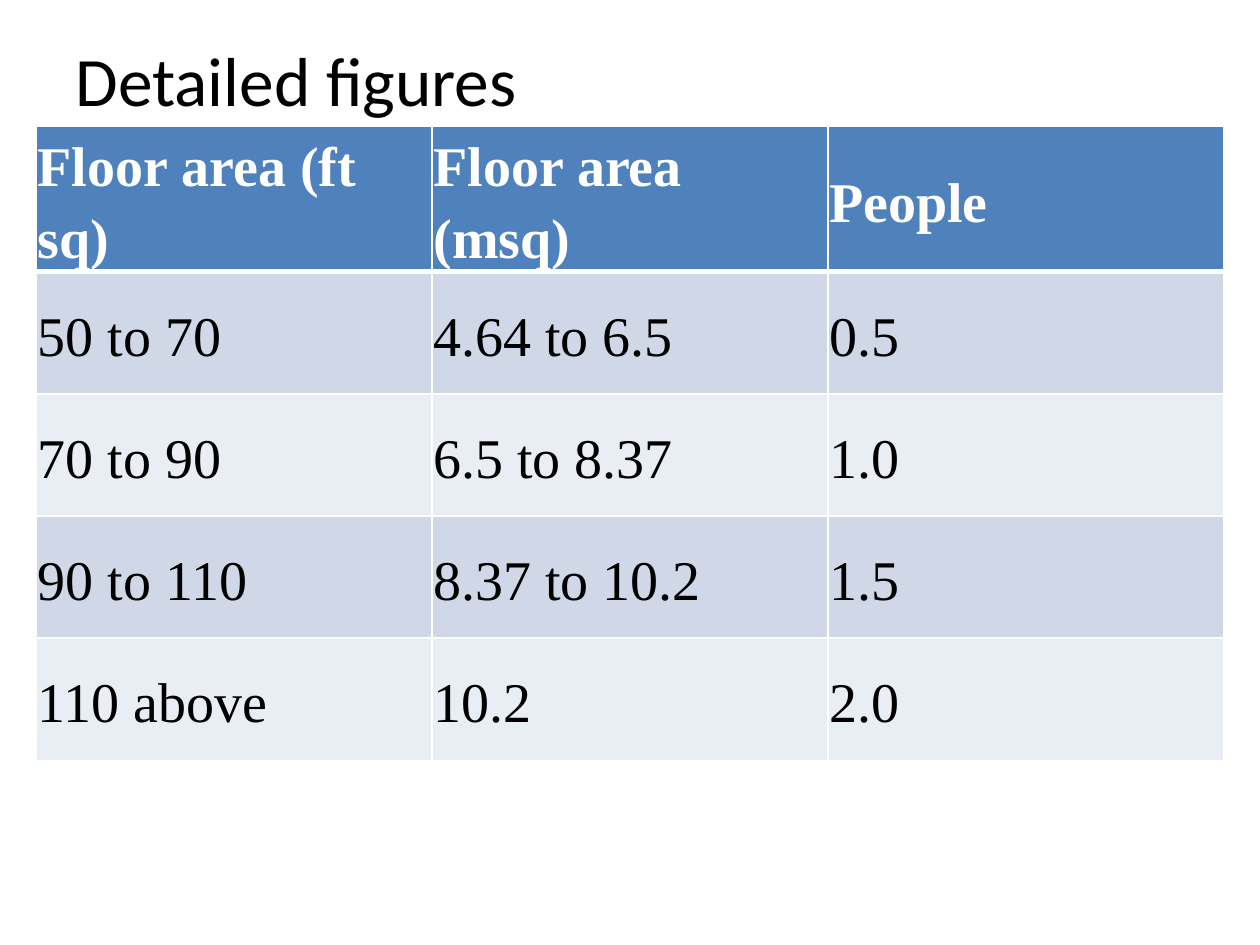
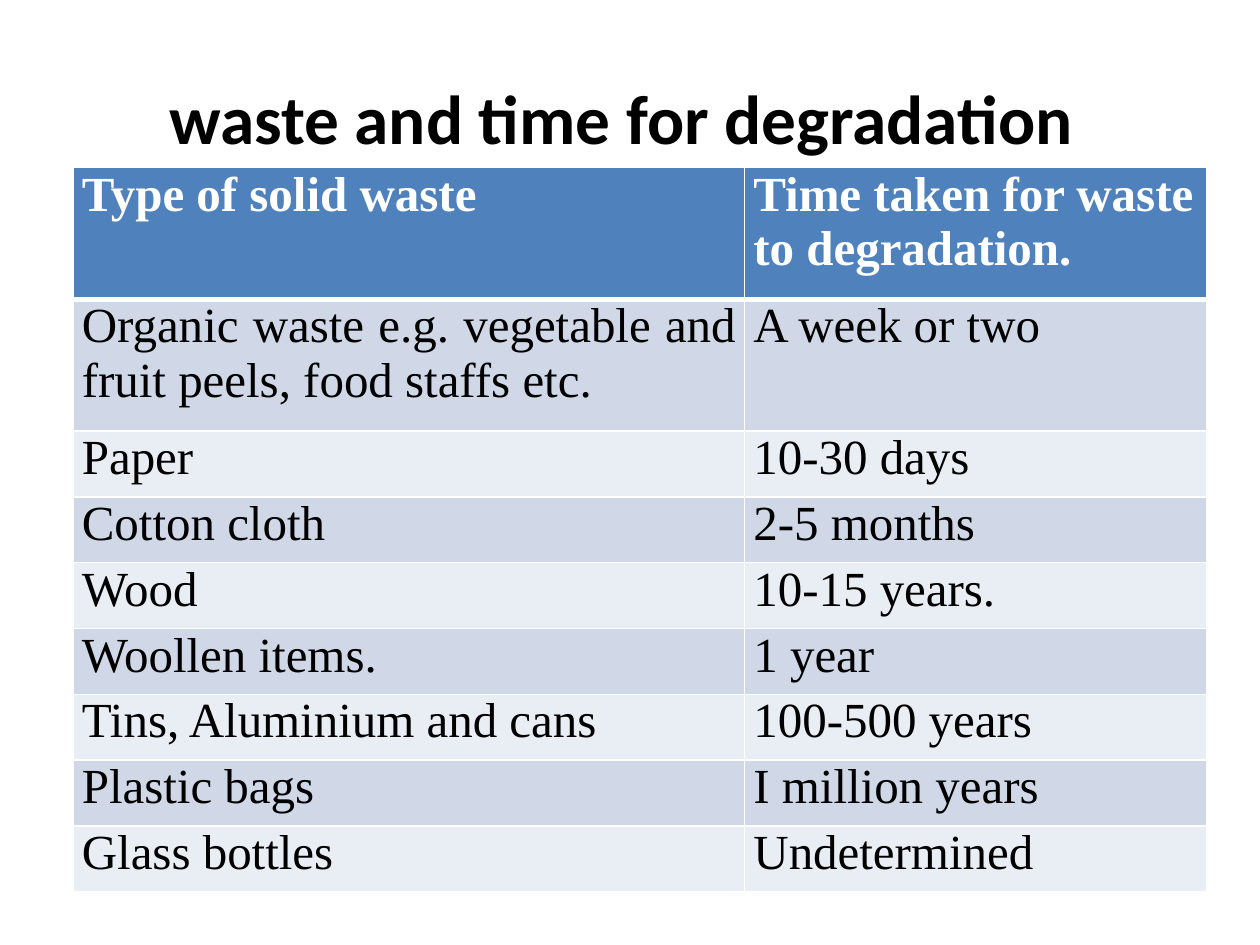
from dataclasses import dataclass

from lxml.etree import SubElement
from pptx import Presentation
from pptx.dml.color import RGBColor
from pptx.enum.text import MSO_ANCHOR, MSO_AUTO_SIZE, PP_ALIGN
from pptx.oxml.ns import qn
from pptx.util import Inches, Pt

# The slide is a grid of 100 columns and 75 rows
COLUMNS, ROWS = 100, 75
SLIDE_WIDTH, SLIDE_HEIGHT = Inches(10), Inches(7.5)


@dataclass(frozen=True)
class Theme:
    title_font: str = "Calibri"
    table_font: str = "Times New Roman"
    title_size: float = 39.6
    text: str = "000000"
    header_text: str = "FFFFFF"
    header_fill: str = "4F81BD"
    bands: tuple = ("D0D8E8", "E9EDF4")
    rule: str = "FFFFFF"
    thin: float = 1
    thick: float = 3


THEME = Theme()


@dataclass(frozen=True)
class Box:
    """Place and size in grid columns and rows."""
    left: float
    top: float
    width: float
    height: float

    def lengths(self):
        column, row = SLIDE_WIDTH / COLUMNS, SLIDE_HEIGHT / ROWS
        return (round(self.left * column), round(self.top * row),
                round(self.width * column), round(self.height * row))


@dataclass(frozen=True)
class TableStyle:
    size: float
    side_margin: float
    end_margin: float
    anchor: MSO_ANCHOR
    align: PP_ALIGN
    line_spacing: float = 1.0
    space_after: float = 0


ROOMY = TableStyle(32, 0.01, 0.01, MSO_ANCHOR.MIDDLE, PP_ALIGN.LEFT, 1.15, 10)
COMPACT = TableStyle(28, 0.07, 0, MSO_ANCHOR.TOP, PP_ALIGN.JUSTIFY)


def format_font(font, name, size, color, bold):
    font.name, font.size, font.bold = name, Pt(size), bold
    font.color.rgb = RGBColor.from_string(color)


def place_title(page, box, text, align, bold=False, right_margin=0.1):
    title = page.shapes.title
    title.left, title.top, title.width, title.height = box.lengths()
    frame = title.text_frame
    frame.text = text
    frame.auto_size = MSO_AUTO_SIZE.NONE
    frame.vertical_anchor = MSO_ANCHOR.MIDDLE
    frame.margin_right = Inches(right_margin)
    para = frame.paragraphs[0]
    para.alignment = align
    format_font(para.runs[0].font, THEME.title_font, THEME.title_size, THEME.text, bold)


def rule_cell(cell, row):
    """Thin white rules, with a thick one between header and body."""
    widths = {"lnL": THEME.thin, "lnR": THEME.thin,
              "lnT": THEME.thick if row == 1 else THEME.thin,
              "lnB": THEME.thick if row == 0 else THEME.thin}
    properties = cell._tc.get_or_add_tcPr()
    for side, width in widths.items():
        line = SubElement(properties, qn(f"a:{side}"), w=str(Pt(width)))
        fill = SubElement(line, qn("a:solidFill"))
        SubElement(fill, qn("a:srgbClr"), val=THEME.rule)


def fill_cell(cell, text, row, style, align):
    header = row == 0
    rule_cell(cell, row)
    cell.fill.solid()
    color = THEME.header_fill if header else THEME.bands[(row - 1) % 2]
    cell.fill.fore_color.rgb = RGBColor.from_string(color)
    cell.margin_left = cell.margin_right = Inches(style.side_margin)
    cell.margin_top = cell.margin_bottom = Inches(style.end_margin)
    cell.vertical_anchor = style.anchor
    cell.text_frame.text = text
    para = cell.text_frame.paragraphs[0]
    para.alignment = align
    para.line_spacing = style.line_spacing
    para.space_after = Pt(style.space_after)
    format_font(para.runs[0].font, THEME.table_font, style.size,
                THEME.header_text if header else THEME.text, header)


def place_table(page, box, records, column_shares, row_shares, style):
    left, top, width, height = box.lengths()
    table = page.shapes.add_table(len(records), len(records[0]),
                                  left, top, width, height).table
    for column, share in zip(table.columns, column_shares):
        column.width = round(width * share / sum(column_shares))
    for row, share in zip(table.rows, row_shares):
        row.height = round(height * share / sum(row_shares))
    for row, record in enumerate(records):
        for column, text in enumerate(record):
            # A wrapped heading in a later column is not justified
            align = PP_ALIGN.LEFT if row == 0 and column else style.align
            fill_cell(table.cell(row, column), text, row, style, align)


def add_page(deck):
    return deck.slides.add_slide(deck.slide_layouts.get_by_name("Title Only"))


def add_floor_area_page(deck):
    page = add_page(deck)
    place_title(page, Box(5, 2.5, 90, 7.5), "Detailed figures", PP_ALIGN.LEFT)
    records = [
        ("Floor area (ft sq)", "Floor area (msq)", "People"),
        ("50 to 70", "4.64 to 6.5", "0.5"),
        ("70 to 90", "6.5 to 8.37", "1.0"),
        ("90 to 110", "8.37 to 10.2", "1.5"),
        ("110 above", "10.2", "2.0"),
    ]
    place_table(page, Box(2.9, 10, 94.2, 48.5), records,
                [1] * 3, [1] * len(records), ROOMY)


def add_degradation_page(deck):
    page = add_page(deck)
    place_title(page, Box(5, 3, 90, 12.5), "waste and time for degradation",
                PP_ALIGN.CENTER, bold=True, right_margin=0.24)
    records = [
        ("Type of solid waste", "Time taken for waste to degradation."),
        ("Organic waste e.g. vegetable and fruit peels, food staffs etc.",
         "A week or two"),
        ("Paper", "10-30 days"),
        ("Cotton cloth", "2-5 months"),
        ("Wood", "10-15 years."),
        ("Woollen items.", "1 year"),
        ("Tins, Aluminium and cans", "100-500 years"),
        ("Plastic bags", "I million years"),
        ("Glass bottles", "Undetermined"),
    ]
    place_table(page, Box(5.8, 13.3, 90, 57.5), records,
                [5.33, 3.67], [2, 2] + [1] * 7, COMPACT)


def main():
    deck = Presentation()
    deck.slide_width, deck.slide_height = SLIDE_WIDTH, SLIDE_HEIGHT
    add_floor_area_page(deck)
    add_degradation_page(deck)
    deck.save("out.pptx")


if __name__ == "__main__":
    main()
